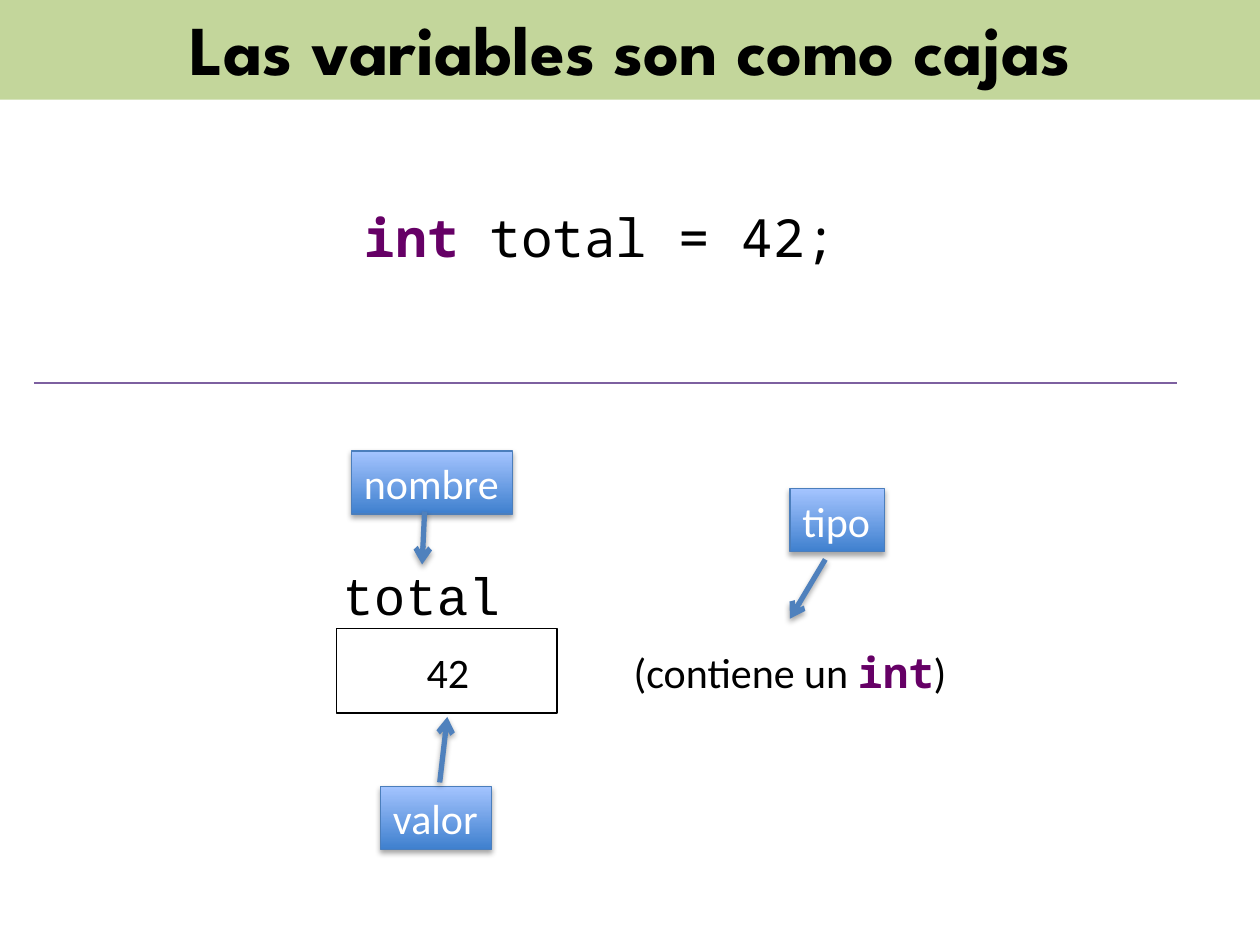
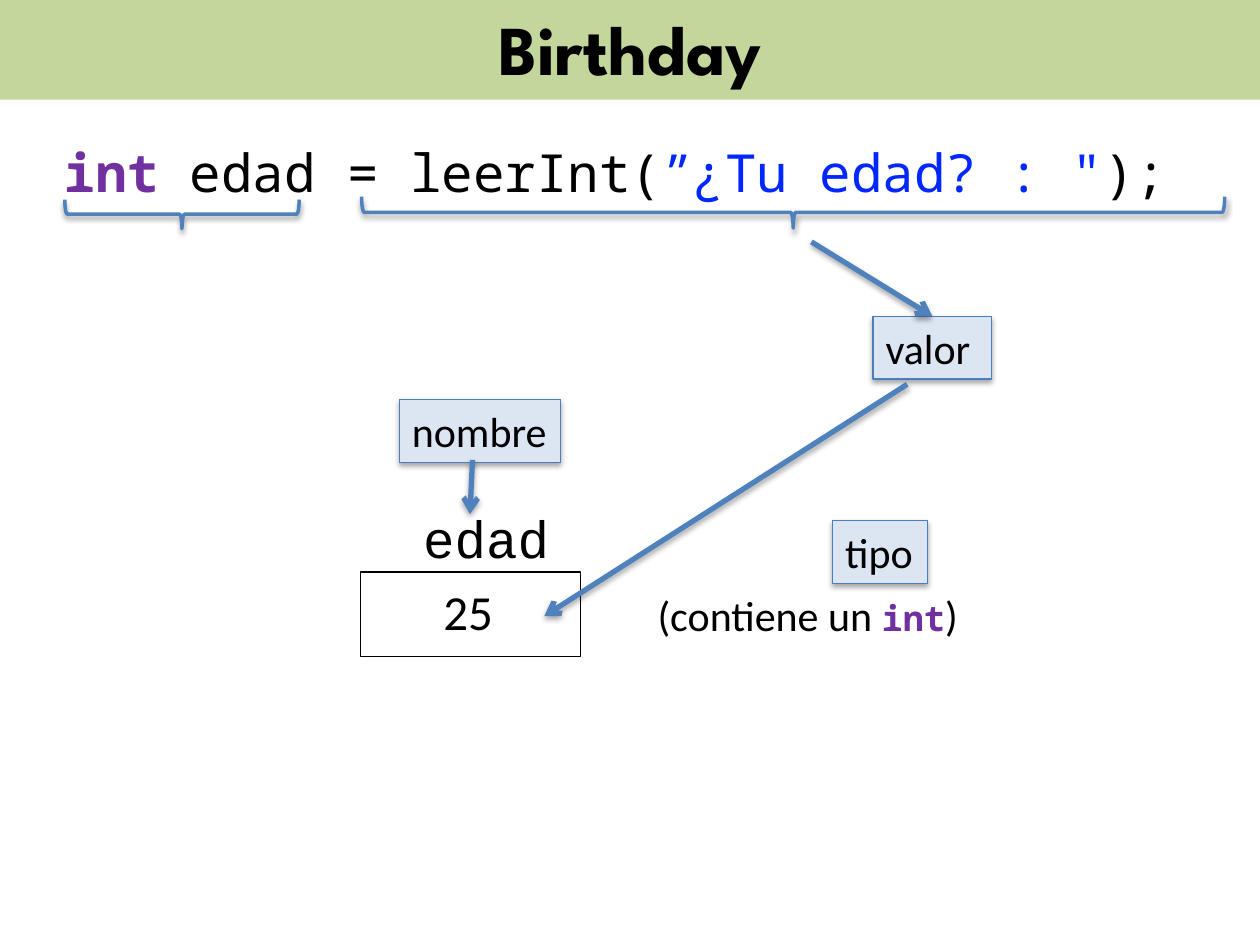
import lxml.etree
import pptx
import pptx.dml.color
import pptx.enum.shapes
import pptx.enum.text
import pptx.oxml.ns
import pptx.util

PX = 9144
COLORS = {
    "band": "C3D69B", "black": "000000", "white": "FFFFFF", "rule": "7D60A0",
    "arrow": "4F81BD", "border": "4B7EBC", "pale": "DCE6F2",
    "gradient_bottom": "3F80CE", "gradient_top": "A4C4FF",
    "plum": "660066", "violet": "7030A0", "string": "0027FF",
}
TITLE, BODY, CODE, NAME = "League Spartan", "Calibri", "Noto Sans Mono", "Courier New"
SHAPES = pptx.enum.shapes.MSO_SHAPE
ALIGN = pptx.enum.text.PP_ALIGN
ANCHOR = pptx.enum.text.MSO_ANCHOR
FIT = pptx.enum.text.MSO_AUTO_SIZE


def rgb(color):
    return pptx.dml.color.RGBColor.from_string(COLORS[color])


def qn(tag):
    return pptx.oxml.ns.qn(tag)


class Sketch:
    def __init__(self, deck):
        self.deck = deck
        self.page = None

    def start(self, title):
        self.page = self.deck.slides.add_slide(self.deck.slide_layouts[5])
        box = self.page.shapes.title
        box.left, box.top, box.width, box.height = [n * PX for n in (0, -3, 1000, 82)]
        box.fill.solid()
        box.fill.fore_color.rgb = rgb("band")
        self.add_runs(box, [(title, TITLE, 40, "black", True)], True, ALIGN.CENTER)
        box.text_frame.auto_size = FIT.NONE
        box.text_frame.vertical_anchor = ANCHOR.MIDDLE

    def add_runs(self, box, runs, wrap=False, align=ALIGN.LEFT):
        frame = box.text_frame
        frame.word_wrap = wrap
        frame.auto_size = FIT.SHAPE_TO_FIT_TEXT
        frame.vertical_anchor = ANCHOR.TOP
        para = frame.paragraphs[0]
        para.alignment = align
        for text, font, size, color, bold in runs:
            span = para.add_run()
            span.text = text
            span.font.name = font
            span.font.size = pptx.util.Pt(size)
            span.font.color.rgb = rgb(color)
            span.font.bold = bold

    def outline(self, shape, color, width):
        shape.line.color.rgb = rgb(color)
        shape.line.width = pptx.util.Pt(width)

    def effects(self, shape, opacity=0):
        effects = lxml.etree.SubElement(shape._element.spPr, qn("a:effectLst"))
        if opacity:
            shadow = lxml.etree.SubElement(
                effects, qn("a:outerShdw"), blurRad="40000", dist="23000",
                dir="5400000", rotWithShape="0")
            color = lxml.etree.SubElement(shadow, qn("a:srgbClr"), val=COLORS["black"])
            lxml.etree.SubElement(color, qn("a:alpha"), val=str(opacity * 1000))

    def shape(self, kind, place):
        return self.page.shapes.add_shape(kind, *[n * PX for n in place])

    def text(self, place, runs, wrap=False, align=ALIGN.LEFT):
        box = self.page.shapes.add_textbox(*[n * PX for n in place])
        self.add_runs(box, runs, wrap, align)

    def variable(self, left, top):
        box = self.shape(SHAPES.RECTANGLE, (left, top, 175, 67))
        box.fill.solid()
        box.fill.fore_color.rgb = rgb("white")
        self.outline(box, "black", 0.75)
        self.effects(box)

    def tag(self, place, word, fill=None, wrap=False):
        box = self.shape(SHAPES.RECTANGLE, place)
        if fill:
            box.fill.solid()
            box.fill.fore_color.rgb = rgb(fill)
        else:
            box.fill.gradient()
            box.fill.gradient_angle = 90
            for stop, color in zip(box.fill.gradient_stops, ("gradient_bottom", "gradient_top")):
                stop.color.rgb = rgb(color)
        self.outline(box, "border", 0.75)
        self.effects(box, 35)
        self.add_runs(box, [(word, BODY, 24, "black" if fill else "white", False)], wrap)

    def line(self, ends, color, width):
        line = self.page.shapes.add_connector(
            pptx.enum.shapes.MSO_CONNECTOR.STRAIGHT, *[n * PX for n in ends])
        self.outline(line, color, width)
        return line

    def rule(self, ends):
        self.effects(self.line(ends, "rule", 0.75))

    def arrow(self, ends):
        line = self.line(ends, "arrow", 3)
        stroke = line._element.spPr.find(qn("a:ln"))
        lxml.etree.SubElement(stroke, qn("a:tailEnd"), type="arrow")
        self.effects(line, 35)

    def brace(self, place):
        brace = self.shape(SHAPES.LEFT_BRACE, place)
        brace.rotation = 270
        brace.fill.background()
        self.outline(brace, "arrow", 2)
        self.effects(brace, 38)

    def contains(self, place, size, color):
        self.text(place, [("(contiene un ", BODY, 24, "black", False),
                          ("int", CODE, size, color, True),
                          (")", BODY, 24, "black", False)])


def variables_page(sketch):
    sketch.start("Las variables son como cajas")
    sketch.variable(267, 499)
    sketch.text((262, 442, 146, 61), [("total", NAME, 30, "black", False)])
    sketch.contains((493, 508, 271, 50), 24, "plum")
    sketch.text((279, 508, 153, 50), [("42", BODY, 24, "black", False)], True, ALIGN.CENTER)
    sketch.text((279, 158, 399, 61), [("int ", CODE, 30, "plum", True),
                                      ("total = 42;", CODE, 30, "black", False)])
    sketch.rule((27, 304, 934, 304))
    sketch.tag((279, 358, 128, 50), "nombre")
    sketch.tag((302, 624, 88, 50), "valor")
    sketch.tag((627, 388, 75, 50), "tipo")
    for ends in ((337, 406, 335, 448), (655, 444, 627, 491), (349, 621, 355, 569)):
        sketch.arrow(ends)


def birthday_page(sketch):
    sketch.start("Birthday")
    sketch.variable(286, 454)
    sketch.text((326, 397, 121, 61), [("edad", NAME, 30, "black", False)])
    sketch.contains((512, 463, 261, 50), 20, "violet")
    sketch.tag((317, 317, 128, 50), "nombre", "pale")
    sketch.tag((661, 413, 75, 50), "tipo", "pale")
    sketch.text((41, 106, 904, 61), [("int ", CODE, 30, "violet", True),
                                     ("edad = leerInt(", CODE, 30, "black", False),
                                     ('”¿Tu edad? : "', CODE, 30, "string", False),
                                     (");", CODE, 30, "black", False)])
    sketch.tag((693, 251, 94, 50), "valor", "pale", True)
    for ends in ((375, 365, 373, 408), (720, 305, 432, 489), (644, 192, 740, 251)):
        sketch.arrow(ends)
    sketch.brace((617, -174, 25, 685))
    sketch.brace((133, 77, 23, 186))
    sketch.text((286, 457, 171, 57), [("25", BODY, 28, "black", False)], True, ALIGN.CENTER)


def main():
    deck = pptx.Presentation()
    deck.slide_width, deck.slide_height = 1000 * PX, 750 * PX
    sketch = Sketch(deck)
    variables_page(sketch)
    birthday_page(sketch)
    deck.save("out.pptx")


if __name__ == "__main__":
    main()
